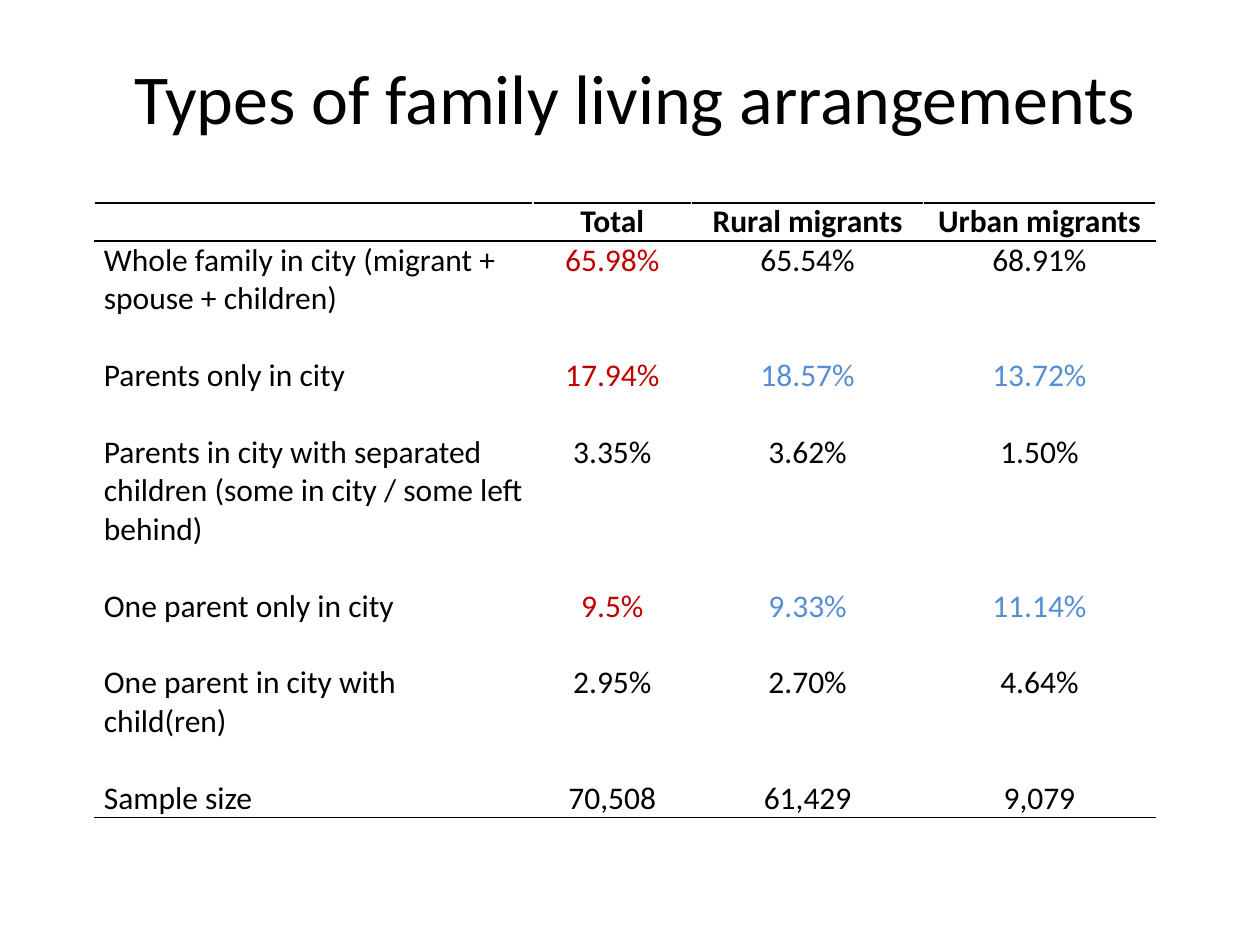
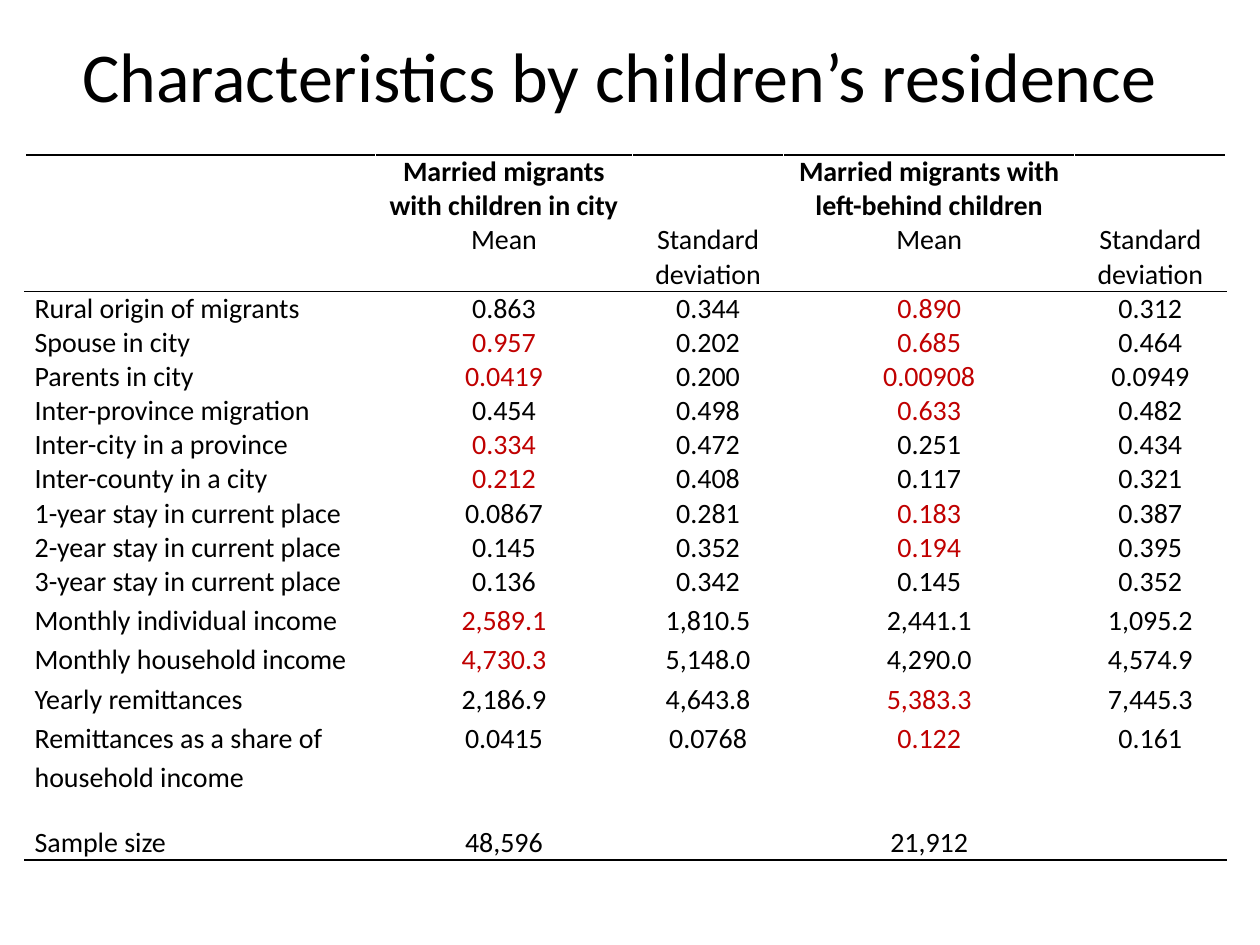
from lxml import etree
from pptx import Presentation
from pptx.dml.color import RGBColor
from pptx.enum.text import MSO_ANCHOR, MSO_AUTO_SIZE, PP_ALIGN
from pptx.oxml.ns import qn
from pptx.util import Inches, Pt

LEFT, CENTER = PP_ALIGN.LEFT, PP_ALIGN.CENTER
MIDDLE = MSO_ANCHOR.MIDDLE
GROW = MSO_AUTO_SIZE.SHAPE_TO_FIT_TEXT

BLACK = RGBColor(0x00, 0x00, 0x00)
WHITE = RGBColor(0xFF, 0xFF, 0xFF)
RED = RGBColor(0xC0, 0x00, 0x00)
BLUE = RGBColor(0x55, 0x8E, 0xD5)

FONT = "Calibri"
LINE_HEIGHT = 1.22
CELL_MARGIN = Pt(5.4)
RULE_WIDTH = Pt(1)
TITLE_ONLY = 5

ARRANGEMENTS = [
    ["", "Total", "Rural migrants", "Urban migrants"],
    ["Whole family in city (migrant + spouse + children)", "65.98%", "65.54%", "68.91%"],
    ["Parents only in city", "17.94%", "18.57%", "13.72%"],
    ["Parents in city with separated children (some in city / some left behind)",
     "3.35%", "3.62%", "1.50%"],
    ["One parent only in city", "9.5%", "9.33%", "11.14%"],
    ["One parent in city with child(ren)", "2.95%", "2.70%", "4.64%"],
    ["", "", "", ""],
    ["Sample size", "70,508", "61,429", "9,079"],
]
ARRANGEMENT_COLORS = {1: {1: RED}, 2: {1: RED, 2: BLUE, 3: BLUE}, 4: {1: RED, 2: BLUE, 3: BLUE}}

CHARACTERISTICS = [
    ["", "Married migrants with children in city", "",
     "Married migrants with left-behind children", ""],
    ["", "Mean", "Standard deviation", "Mean", "Standard deviation"],
    ["Rural origin of migrants", "0.863", "0.344", "0.890", "0.312"],
    ["Spouse in city", "0.957", "0.202", "0.685", "0.464"],
    ["Parents in city", "0.0419", "0.200", "0.00908", "0.0949"],
    ["Inter-province migration", "0.454", "0.498", "0.633", "0.482"],
    ["Inter-city in a province", "0.334", "0.472", "0.251", "0.434"],
    ["Inter-county in a city", "0.212", "0.408", "0.117", "0.321"],
    ["1-year stay in current place", "0.0867", "0.281", "0.183", "0.387"],
    ["2-year stay in current place", "0.145", "0.352", "0.194", "0.395"],
    ["3-year stay in current place", "0.136", "0.342", "0.145", "0.352"],
    ["Monthly individual income", "2,589.1", "1,810.5", "2,441.1", "1,095.2"],
    ["Monthly household income", "4,730.3", "5,148.0", "4,290.0", "4,574.9"],
    ["Yearly remittances", "2,186.9", "4,643.8", "5,383.3", "7,445.3"],
    ["Remittances as a share of household income", "0.0415", "0.0768", "0.122", "0.161"],
    ["", "", "", "", ""],
    ["Sample size", "48,596", "", "21,912", ""],
]
IN_CITY, LEFT_BEHIND = {1: RED}, {3: RED}
CHARACTERISTIC_COLORS = {
    3: IN_CITY | LEFT_BEHIND, 4: IN_CITY | LEFT_BEHIND,
    **dict.fromkeys((6, 7, 11, 12), IN_CITY),
    **dict.fromkeys((2, 5, 8, 9, 13, 14), LEFT_BEHIND),
}


def write(para, text, size, color=BLACK, bold=False, align=CENTER, spacing=None):
    """Put formatted text into a paragraph; an empty one only gets a small size."""
    if not text:
        etree.SubElement(para._p, qn("a:endParaRPr"), sz=str(int(size * 0.85) * 100))
        return
    para.alignment = align
    if spacing:
        para.line_spacing = spacing
    span = para.add_run()
    span.text = text
    span.font.name, span.font.size = FONT, Pt(size)
    span.font.bold, span.font.color.rgb = bold, color


def add_rule(cell, side):
    """Draw a black line on one side of a cell: T for top, B for bottom."""
    properties = cell._tc.get_or_add_tcPr()
    line = etree.Element(qn(f"a:ln{side}"), w=str(RULE_WIDTH))
    fill = etree.SubElement(line, qn("a:solidFill"))
    etree.SubElement(fill, qn("a:srgbClr"), val=str(BLACK))
    properties.insert(len(properties.findall(qn("a:lnT"))), line)


def add_title(page, text, left, top, width, wrap=True):
    """Place and format the title placeholder."""
    box = page.shapes.title
    box.left, box.top = Inches(left), Inches(top)
    box.width, box.height = Inches(width), Inches(0.77)
    frame = box.text_frame
    frame.word_wrap, frame.auto_size = wrap, GROW
    frame.vertical_anchor = MIDDLE
    write(frame.paragraphs[0], text, 40)


def add_ruled_table(page, rows, left, top, widths, lines, size, colors, headers=1, loose=()):
    """Add a plain table ruled above, below its header rows and at its end."""
    heights = [Pt(count * size * LINE_HEIGHT) for count in lines]
    table = page.shapes.add_table(
        len(rows), len(widths), Inches(left), Inches(top), Inches(sum(widths)), sum(heights)
    ).table
    table.first_row = table.horz_banding = False
    for column, width in zip(table.columns, widths):
        column.width = Inches(width)
    for row, height in zip(table.rows, heights):
        row.height = height
    for r, texts in enumerate(rows):
        for c, text in enumerate(texts):
            cell = table.cell(r, c)
            cell.margin_left = cell.margin_right = CELL_MARGIN
            cell.margin_top = cell.margin_bottom = 0
            cell.fill.solid()
            cell.fill.fore_color.rgb = WHITE
            write(cell.text_frame.paragraphs[0], text, size,
                  color=colors.get(r, {}).get(c, BLACK), bold=r == 0,
                  align=CENTER if c else LEFT, spacing=1.15 if r in loose else None)
            if r in (0, headers):
                add_rule(cell, "T")
            if r in (headers - 1, len(rows) - 1):
                add_rule(cell, "B")


def main():
    """Build the two table slides."""
    deck = Presentation()
    deck.slide_width, deck.slide_height = Inches(10), Inches(7.5)
    layout = deck.slide_layouts[TITLE_ONLY]

    page = deck.slides.add_slide(layout)
    add_title(page, "Types of family living arrangements", 0.51, 0.38, 9.06)
    add_ruled_table(page, ARRANGEMENTS, 0.75, 1.61, [3.48, 1.26, 1.84, 1.84],
                    [1, 3, 2, 4, 2, 2, 1, 1], 18, ARRANGEMENT_COLORS)

    page = deck.slides.add_slide(layout)
    add_title(page, "Characteristics by children’s residence", 0.51, 0.21, 8.81, wrap=False)
    add_ruled_table(page, CHARACTERISTICS, 0.2, 1.23, [2.78, 2.04, 1.2, 2.31, 1.2],
                    [2] * 2 + [1] * 9 + [1.15] * 3 + [2.3, 0.9, 1], 16,
                    CHARACTERISTIC_COLORS, headers=2, loose=range(11, 15))

    deck.save("out.pptx")


if __name__ == "__main__":
    main()
